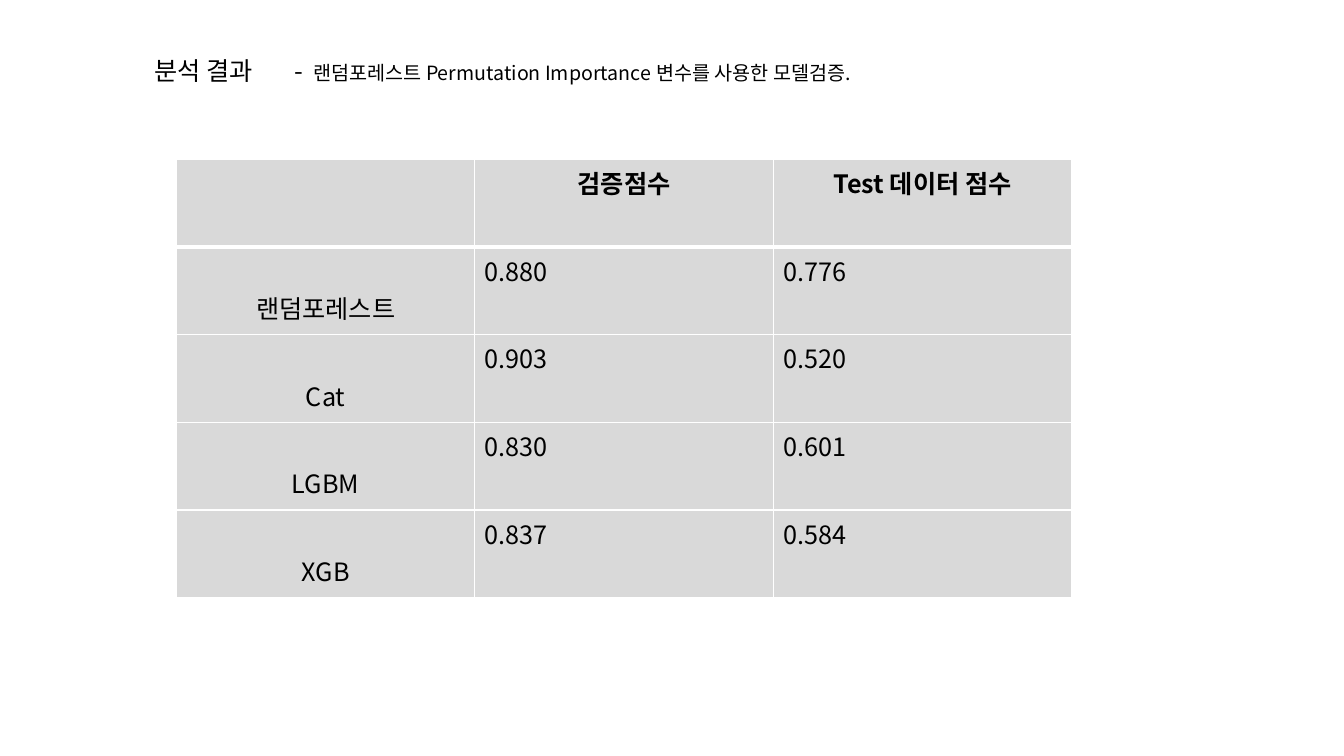
from dataclasses import dataclass
from typing import Any

import pptx
import pptx.dml.color
import pptx.enum.text
import pptx.oxml
import pptx.oxml.ns
import pptx.util

Inches = pptx.util.Inches
Pt = pptx.util.Pt
RGB = pptx.dml.color.RGBColor
Align = pptx.enum.text.PP_ALIGN


@dataclass(frozen=True)
class Theme:
    font: str = "Noto Sans CJK KR"
    ink: str = "000000"
    cell: str = "D9D9D9"
    border: str = "FFFFFF"
    body_size: int = 18
    note_size: int = 14
    thin: int = 1
    thick: int = 3


@dataclass(frozen=True)
class Score:
    model: str
    validation: str
    test: str


THEME = Theme()
HEADINGS = ("", "검증점수", "Test 데이터 점수")
SCORES = (
    Score("랜덤포레스트", "0.880", "0.776"),
    Score("Cat", "0.903", "0.520"),
    Score("LGBM", "0.830", "0.601"),
    Score("XGB", "0.837", "0.584"),
)
COLUMN_WIDTH = Inches(2.96)
ROW_HEIGHT = Inches(0.87)
MODEL_TOP_MARGIN = Inches(0.42)


def apply(target: Any, formats: dict[str, Any]) -> None:
    for name, value in formats.items():
        setattr(target, name, value)


def add_run(paragraph: Any, text: str, size: int, bold: bool = False) -> None:
    run = paragraph.add_run()
    run.text = text
    apply(run.font, {"name": THEME.font, "size": Pt(size), "bold": bold})
    run.font.color.rgb = RGB.from_string(THEME.ink)
    east_asian = pptx.oxml.parse_xml(
        f'<a:ea {pptx.oxml.ns.nsdecls("a")} typeface="{THEME.font}"/>'
    )
    run.font._element.append(east_asian)


def fill_box(box: Any, place: dict[str, Any], runs: tuple[tuple[str, int], ...]) -> None:
    apply(box, place)
    apply(box.text_frame, {
        "word_wrap": True,
        "auto_size": pptx.enum.text.MSO_AUTO_SIZE.SHAPE_TO_FIT_TEXT,
        "vertical_anchor": pptx.enum.text.MSO_ANCHOR.TOP,
    })
    paragraph = box.text_frame.paragraphs[0]
    paragraph.alignment = Align.LEFT
    for text, size in runs:
        add_run(paragraph, text, size)


def set_borders(cell: Any, widths: dict[str, int]) -> None:
    properties = cell._tc.get_or_add_tcPr()
    for position, (side, width) in enumerate(widths.items()):
        line = pptx.oxml.parse_xml(
            f'<a:ln{side} {pptx.oxml.ns.nsdecls("a")} w="{Pt(width)}">'
            f'<a:solidFill><a:srgbClr val="{THEME.border}"/></a:solidFill></a:ln{side}>'
        )
        properties.insert(position, line)


def fill_cell(cell: Any, text: str, row: int, column: int) -> None:
    is_heading = row == 0
    is_model = column == 0 and not is_heading
    cell.fill.solid()
    cell.fill.fore_color.rgb = RGB.from_string(THEME.cell)
    set_borders(cell, {
        "L": THEME.thin,
        "R": THEME.thin,
        "T": THEME.thick if row == 1 else THEME.thin,
        "B": THEME.thick if is_heading else THEME.thin,
    })
    if is_model:
        cell.margin_top = MODEL_TOP_MARGIN
    if text:
        paragraph = cell.text_frame.paragraphs[0]
        paragraph.alignment = Align.CENTER if is_heading or is_model else Align.LEFT
        add_run(paragraph, text, THEME.body_size, is_heading)


def add_scores(slide: Any) -> None:
    rows = [HEADINGS] + [(s.model, s.validation, s.test) for s in SCORES]
    scores = slide.shapes.add_table(
        len(rows), len(HEADINGS), Inches(1.75), Inches(1.58),
        COLUMN_WIDTH * len(HEADINGS), ROW_HEIGHT * len(rows),
    ).table
    for column in scores.columns:
        column.width = COLUMN_WIDTH
    for row, texts in enumerate(rows):
        scores.rows[row].height = ROW_HEIGHT
        for column, text in enumerate(texts):
            fill_cell(scores.cell(row, column), text, row, column)


def main() -> None:
    deck = pptx.Presentation()
    apply(deck, {"slide_width": Inches(13.33), "slide_height": Inches(7.5)})
    slide = deck.slides.add_slide(deck.slide_layouts.get_by_name("Title Only"))
    heading_place = {
        "left": Inches(1.43), "top": Inches(0.5),
        "width": Inches(5.23), "height": Inches(0.4),
    }
    note_place = {
        "left": Inches(2.82), "top": Inches(0.5),
        "width": Inches(5.78), "height": Inches(0.64),
    }
    fill_box(slide.shapes.title, heading_place, (("분석 결과", THEME.body_size),))
    note = slide.shapes.add_textbox(*note_place.values())
    fill_box(note, note_place, (
        ("- ", THEME.body_size),
        (" 랜덤포레스트 Permutation Importance 변수를 사용한 모델검증.", THEME.note_size),
    ))
    add_scores(slide)
    deck.save("out.pptx")


if __name__ == "__main__":
    main()
